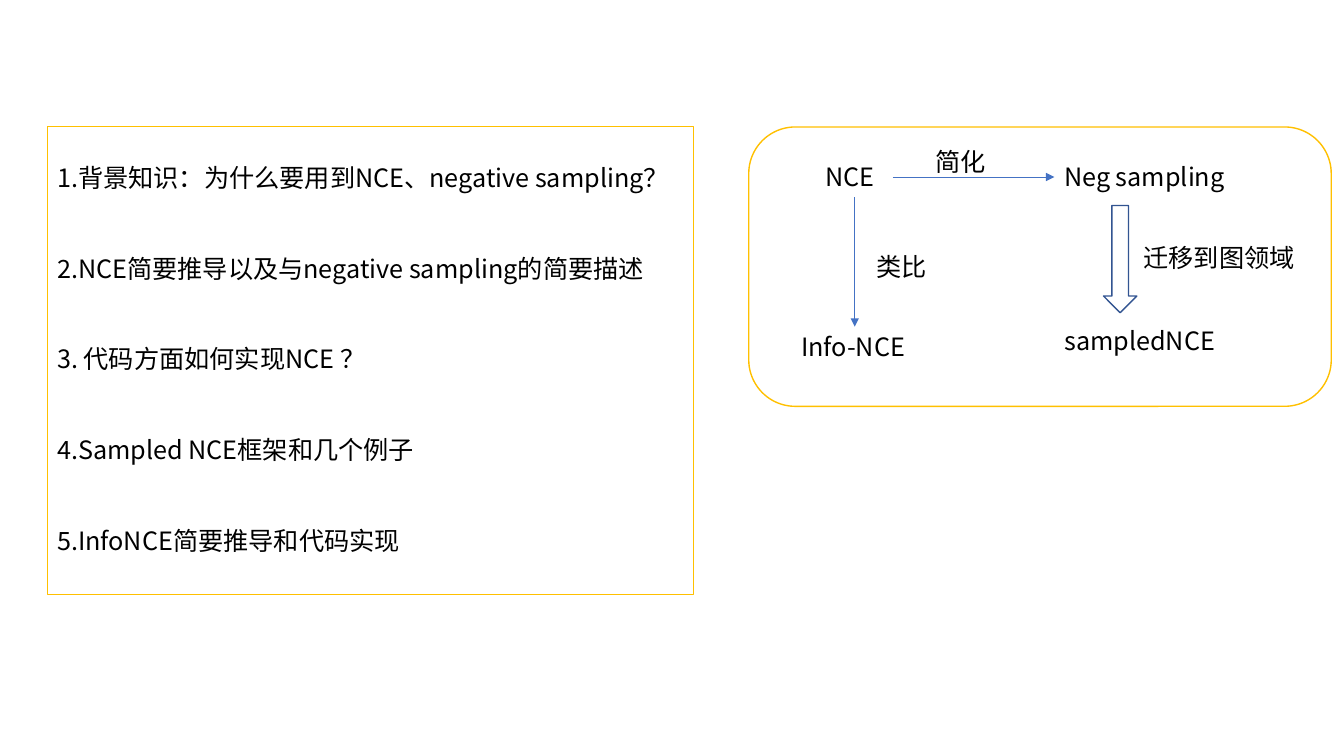
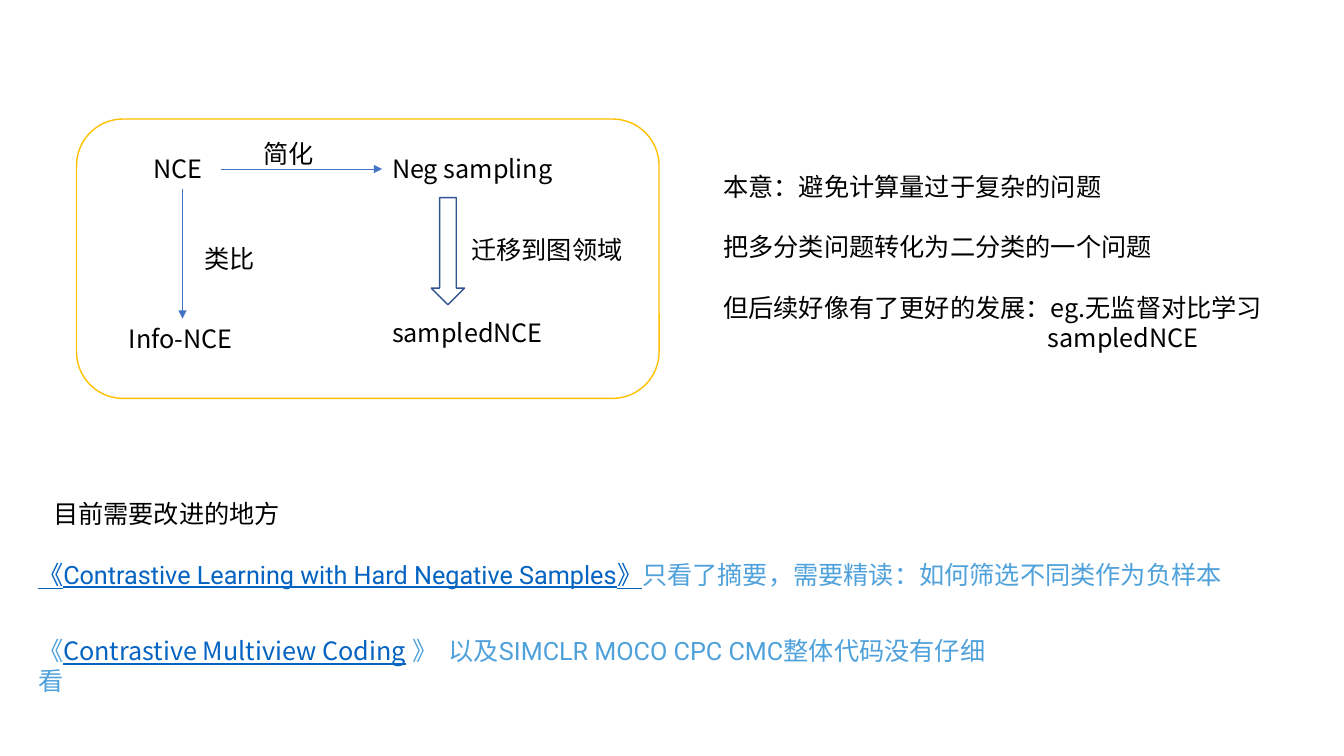
"""Build two slides on NCE, negative sampling and their descendants."""
import pptx
import pptx.dml.color
import pptx.enum.shapes
import pptx.enum.text
import pptx.oxml.ns
import pptx.util
from lxml import etree

Cm = pptx.util.Cm
Pt = pptx.util.Pt
RGBColor = pptx.dml.color.RGBColor
SHAPE = pptx.enum.shapes.MSO_SHAPE
qn = pptx.oxml.ns.qn

BLACK = RGBColor(0x00, 0x00, 0x00)
WHITE = RGBColor(0xFF, 0xFF, 0xFF)
GOLD = RGBColor(0xFF, 0xC0, 0x00)
BLUE = RGBColor(0x44, 0x72, 0xC4)
NAVY = RGBColor(0x32, 0x54, 0x91)
LINK = RGBColor(0x05, 0x63, 0xC1)
SKY = RGBColor(0x4E, 0xA1, 0xDB)

SANS = "Noto Sans CJK SC"
ROBOTO = "Roboto"
TEXT_SIZE = Pt(18)
LINE_PITCH = Pt(21.6)
LABEL_HEIGHT = 1.02

AGENDA = [
    "1.背景知识：为什么要用到NCE、negative sampling？",
    "2.NCE简要推导以及与negative sampling的简要描述",
    "3. 代码方面如何实现NCE ？",
    "4.Sampled NCE框架和几个例子",
    "5.InfoNCE简要推导和代码实现",
]
AGENDA_BOX = (1.19, 3.2, 16.28, 11.79)

DIAGRAM_SIZE = (14.68, 7.04)
DIAGRAM_LABELS = [
    ("NCE", 1.68, 0.74, 1.96),
    ("Info-NCE", 1.07, 5.03, 3.2),
    ("Neg sampling", 7.7, 0.74, 5.18),
    ("简化", 4.45, 0.37, 2.44),
    ("类比", 2.97, 3.0, 2.95),
    ("sampledNCE", 7.7, 4.88, 4.34),
    ("迁移到图领域", 9.7, 2.79, 4.45),
]
DIAGRAM_ARROWS = [(2.67, 1.77, 2.67, 5.03), (3.63, 1.26, 7.7, 1.26)]
TRANSFER_ARROW = (8.94, 1.98, 0.84, 2.7)

REMARKS = [
    "本意：避免计算量过于复杂的问题",
    "把多分类问题转化为二分类的一个问题",
    "但后续好像有了更好的发展：eg.无监督对比学习",
]
REMARKS_EXAMPLE = "sampledNCE"
REMARKS_BOX = (17.98, 4.19, 15.54, 4.88)
EXAMPLE_INDENT = Cm(8.18)

HEADING = "目前需要改进的地方"
HEADING_BOX = (1.09, 12.42, 10.72, LABEL_HEIGHT)
PAPERS = [
    ((0.71, 13.97, 31.85, LABEL_HEIGHT), [
        ("《Contrastive Learning with Hard Negative Samples》", ROBOTO, LINK),
        ("只看了摘要，需要精读：如何筛选不同类作为负样本", ROBOTO, SKY),
    ]),
    ((0.71, 15.88, 24.46, LABEL_HEIGHT), [
        ("《", ROBOTO, SKY),
        ("Contrastive Multiview Coding", SANS, LINK),
        (" 》  以及SIMCLR MOCO CPC CMC整体代码没有仔细看", ROBOTO, SKY),
    ]),
]


def lengths(values):
    return [Cm(value) for value in values]


def set_east_asian(properties):
    etree.SubElement(properties, qn("a:ea")).set("typeface", SANS)


def style_paragraph(para, space_before=0):
    para.alignment = pptx.enum.text.PP_ALIGN.LEFT
    para.space_before = space_before
    para.font.name = SANS
    para.font.size = TEXT_SIZE
    para.font.color.rgb = BLACK
    set_east_asian(para._p.get_or_add_pPr().get_or_add_defRPr())


def write_lines(frame, lines, gap=0):
    frame.word_wrap = True
    for index, line in enumerate(lines):
        para = frame.add_paragraph() if index else frame.paragraphs[0]
        para.text = line
        style_paragraph(para, gap if index else 0)


def add_text(shapes, box, lines, gap=0):
    frame = shapes.add_textbox(*lengths(box)).text_frame
    write_lines(frame, lines, gap)
    return frame


def add_outline(shapes, kind, box, color, width, fill=None):
    shape = shapes.add_shape(kind, *lengths(box))
    shape.shadow.inherit = False
    shape.line.color.rgb = color
    shape.line.width = Pt(width)
    if fill is None:
        shape.fill.background()
    else:
        shape.fill.solid()
        shape.fill.fore_color.rgb = fill
    return shape


def add_arrow(shapes, ends):
    arrow = shapes.add_connector(
        pptx.enum.shapes.MSO_CONNECTOR.STRAIGHT, *lengths(ends))
    arrow.line.color.rgb = BLUE
    arrow.line.width = Pt(0.5)
    etree.SubElement(arrow.line._get_or_add_ln(), qn("a:tailEnd")).set("type", "triangle")
    etree.SubElement(arrow._element.spPr, qn("a:effectLst"))


def add_diagram(page, left, top):
    shapes = page.shapes.add_group_shape().shapes
    add_outline(shapes, SHAPE.ROUNDED_RECTANGLE, (left, top, *DIAGRAM_SIZE), GOLD, 1, WHITE)
    for x1, y1, x2, y2 in DIAGRAM_ARROWS:
        add_arrow(shapes, (left + x1, top + y1, left + x2, top + y2))
    x, y, width, height = TRANSFER_ARROW
    add_outline(shapes, SHAPE.DOWN_ARROW, (left + x, top + y, width, height), NAVY, 1, WHITE)
    for label, x, y, width in DIAGRAM_LABELS:
        add_text(shapes, (left + x, top + y, width, LABEL_HEIGHT), [label])


def add_paper(page, box, spans):
    frame = page.shapes.add_textbox(*lengths(box)).text_frame
    frame.word_wrap = True
    para = frame.paragraphs[0]
    style_paragraph(para)
    for text, face, color in spans:
        span = para.add_run()
        span.text = text
        span.font.name = face
        span.font.color.rgb = color
        span.font.underline = color == LINK
        set_east_asian(span._r.get_or_add_rPr())


def build_agenda(page):
    box = add_outline(page.shapes, SHAPE.RECTANGLE, AGENDA_BOX, GOLD, 0.75)
    frame = box.text_frame
    frame.vertical_anchor = pptx.enum.text.MSO_ANCHOR.TOP
    frame.margin_top = Cm(0.89)
    write_lines(frame, AGENDA, 2 * LINE_PITCH)
    add_diagram(page, 18.87, 3.2)


def build_outlook(page):
    for box, spans in PAPERS:
        add_paper(page, box, spans)
    add_text(page.shapes, HEADING_BOX, [HEADING])
    add_diagram(page, 1.93, 3.0)
    frame = add_text(page.shapes, REMARKS_BOX, REMARKS, LINE_PITCH)
    example = frame.add_paragraph()
    example.text = REMARKS_EXAMPLE
    style_paragraph(example)
    example._p.get_or_add_pPr().set("marL", str(EXAMPLE_INDENT))


def main():
    deck = pptx.Presentation()
    deck.slide_width = Cm(33.87)
    deck.slide_height = Cm(19.05)
    for build in (build_agenda, build_outlook):
        build(deck.slides.add_slide(deck.slide_layouts[6]))
    deck.save("out.pptx")


if __name__ == "__main__":
    main()
